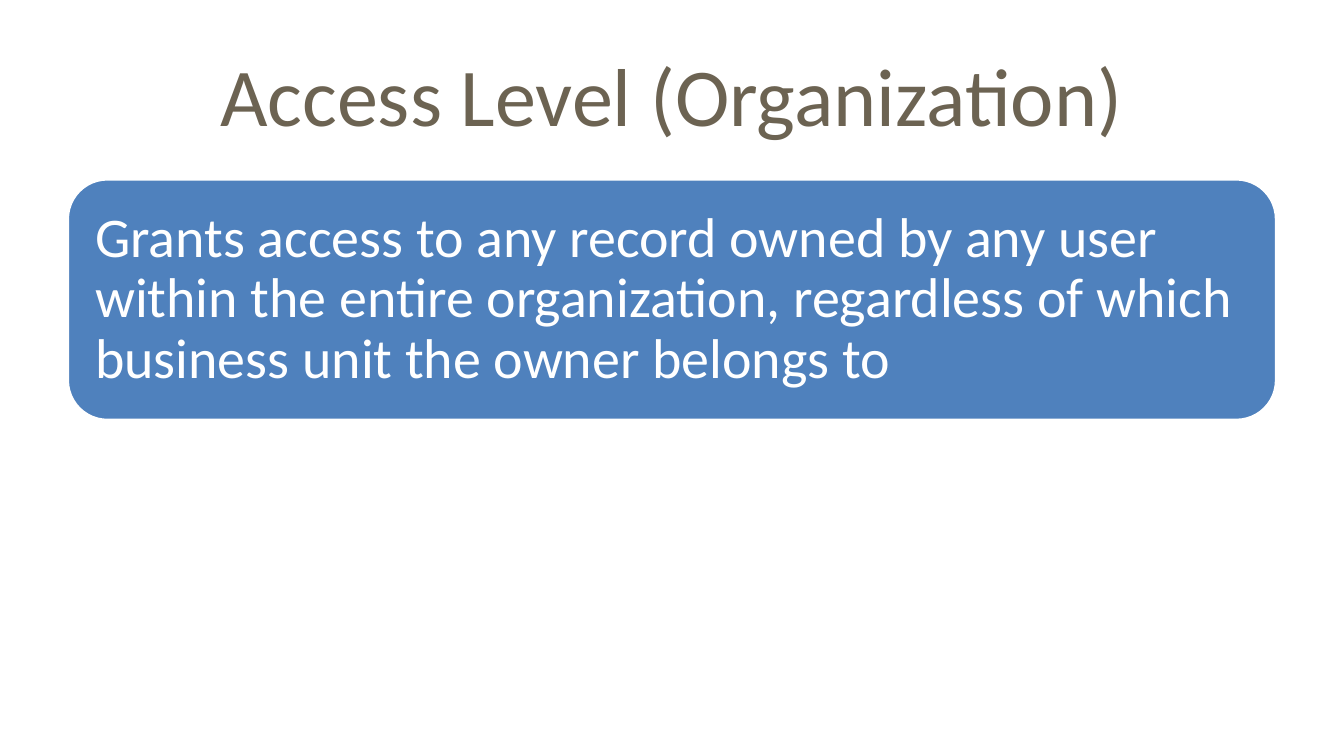
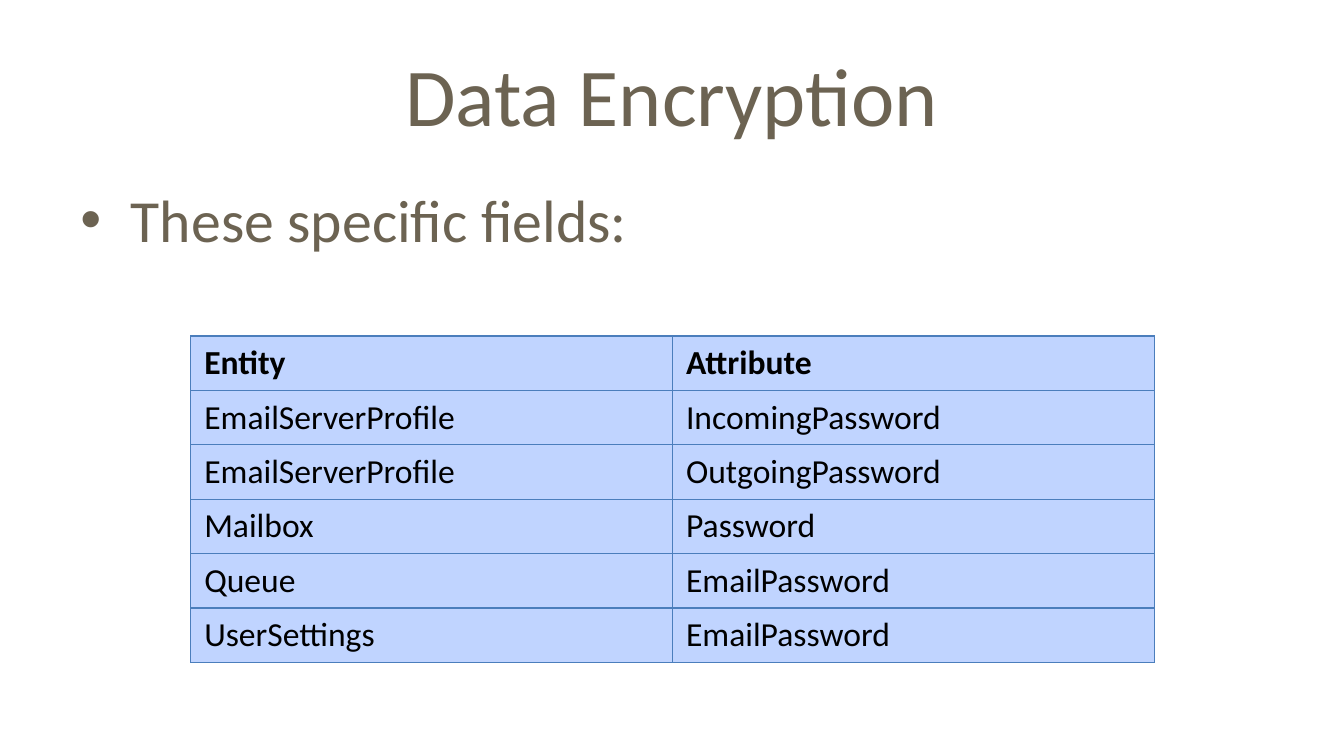
from dataclasses import dataclass

import pptx
import pptx.dml.color
import pptx.enum.shapes
import pptx.enum.text
import pptx.oxml
import pptx.oxml.ns
import pptx.util

PX = 4572  # EMU in one px, 200 px to the inch
FONT = "Calibri"
COLORS = {
    "heading": "6C6352",
    "panel": "4F81BD",
    "white": "FFFFFF",
    "cell": "C0D4FF",
    "border": "4B7EBC",
    "black": "000000",
}
ALIGN = pptx.enum.text.PP_ALIGN
ANCHOR = pptx.enum.text.MSO_ANCHOR


@dataclass(frozen=True)
class Box:
    left: int
    top: int
    width: int
    height: int

    def emu(self) -> tuple[int, ...]:
        return tuple(v * PX for v in (self.left, self.top, self.width, self.height))


TITLE = Box(100, 46, 1800, 188)
PANEL = Box(100, 266, 1800, 360)
BODY = Box(100, 262, 1800, 742)
TABLE = Box(284, 500, 1434, 486)

ENCRYPTED_FIELDS = [
    ("Entity", "Attribute"),
    ("EmailServerProfile", "IncomingPassword"),
    ("EmailServerProfile", "OutgoingPassword"),
    ("Mailbox", "Password"),
    ("Queue", "EmailPassword"),
    ("UserSettings", "EmailPassword"),
]


def rgb(name: str) -> pptx.dml.color.RGBColor:
    return pptx.dml.color.RGBColor.from_string(COLORS[name])


def add_xml(parent, xml: str) -> None:
    """Append an element, given with the drawing namespace left as {ns}."""
    ns = pptx.oxml.ns.nsdecls("a")
    parent.append(pptx.oxml.parse_xml(xml.format(ns=ns)))


def write(tf, text: str, *, size: int, color: str, bold: bool = False,
          align=ALIGN.LEFT, anchor=ANCHOR.TOP, line_spacing: float = 1.0,
          bullet: str = "", indent: int = 0) -> None:
    """Fill a text frame with one formatted paragraph."""
    tf.word_wrap = True
    tf.vertical_anchor = anchor
    p = tf.paragraphs[0]
    p.alignment = align
    p.line_spacing = line_spacing
    if bullet:
        pPr = p._p.get_or_add_pPr()
        pPr.set("marL", str(indent * PX))
        pPr.set("indent", str(-indent * PX))
        add_xml(pPr, '<a:buFont {ns} typeface="Arial"/>')
        add_xml(pPr, f'<a:buChar {{ns}} char="{bullet}"/>')
    r = p.add_run()
    r.text = text
    r.font.name = FONT
    r.font.size = pptx.util.Pt(size)
    r.font.bold = bold
    r.font.color.rgb = rgb(color)


def add_titled_slide(prs, title: str):
    slide = prs.slides.add_slide(prs.slide_layouts[6])
    sp = slide.shapes.add_textbox(*TITLE.emu())
    write(sp.text_frame, title, size=44, color="heading",
          align=ALIGN.CENTER, anchor=ANCHOR.MIDDLE)
    return slide


def add_panel(slide, box: Box, text: str) -> None:
    sp = slide.shapes.add_shape(
        pptx.enum.shapes.MSO_SHAPE.ROUNDED_RECTANGLE, *box.emu())
    sp.shadow.inherit = False
    sp.fill.solid()
    sp.fill.fore_color.rgb = rgb("panel")
    sp.line.color.rgb = rgb("white")
    sp.line.width = pptx.util.Pt(2)
    tf = sp.text_frame
    tf.margin_left = tf.margin_right = tf.margin_top = tf.margin_bottom = 24 * PX
    write(tf, text, size=30, color="white", anchor=ANCHOR.MIDDLE, line_spacing=0.9)


def set_borders(cell, color: str, points: float) -> None:
    tcPr = cell._tc.get_or_add_tcPr()
    for side in ("lnL", "lnR", "lnT", "lnB"):
        add_xml(tcPr, f'<a:{side} {{ns}} w="{pptx.util.Pt(points)}"><a:solidFill>'
                      f'<a:srgbClr val="{COLORS[color]}"/></a:solidFill></a:{side}>')


def add_field_table(slide, box: Box, rows: list[tuple[str, str]]) -> None:
    n_rows, n_cols = len(rows), len(rows[0])
    table = slide.shapes.add_table(n_rows, n_cols, *box.emu()).table
    table.horz_banding = False
    for i, row in enumerate(rows):
        for j, text in enumerate(row):
            cell = table.cell(i, j)
            set_borders(cell, "border", 0.75)
            cell.fill.solid()
            cell.fill.fore_color.rgb = rgb("cell")
            write(cell.text_frame, text, size=18, color="black", bold=i == 0)
            cell.vertical_anchor = ANCHOR.MIDDLE


def main() -> None:
    prs = pptx.Presentation()
    prs.slide_width, prs.slide_height = 2000 * PX, 1125 * PX

    # Access level
    slide = add_titled_slide(prs, "Access Level (Organization)")
    add_panel(slide, PANEL,
              "Grants access to any record owned by any user within the entire "
              "organization, regardless of which business unit the owner belongs to")

    # Data encryption
    slide = add_titled_slide(prs, "Data Encryption")
    body = slide.shapes.add_textbox(*BODY.emu())
    write(body.text_frame, "These specific fields:", size=32, color="heading",
          bullet="•", indent=75)
    add_field_table(slide, TABLE, ENCRYPTED_FIELDS)

    prs.save("out.pptx")


if __name__ == "__main__":
    main()
